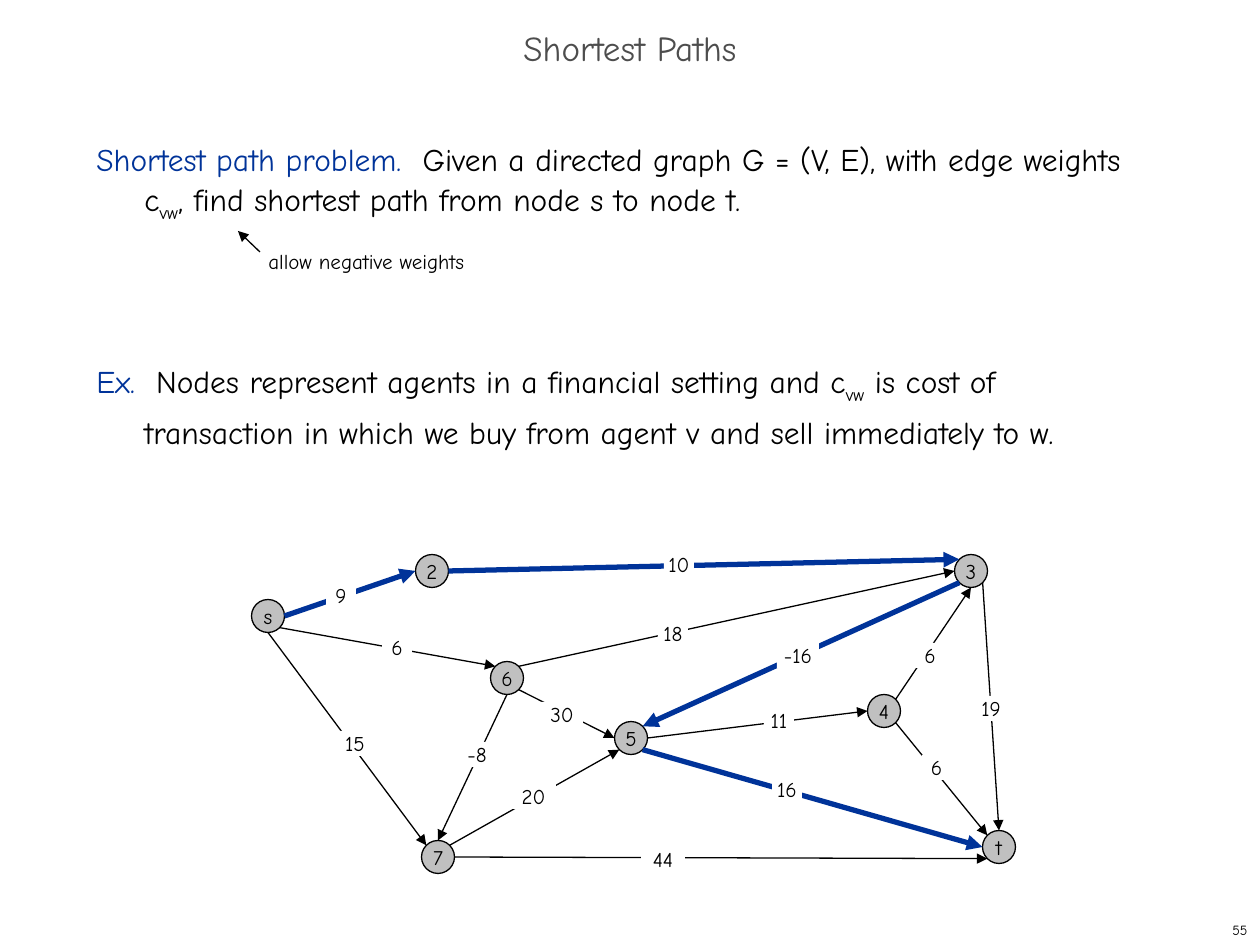
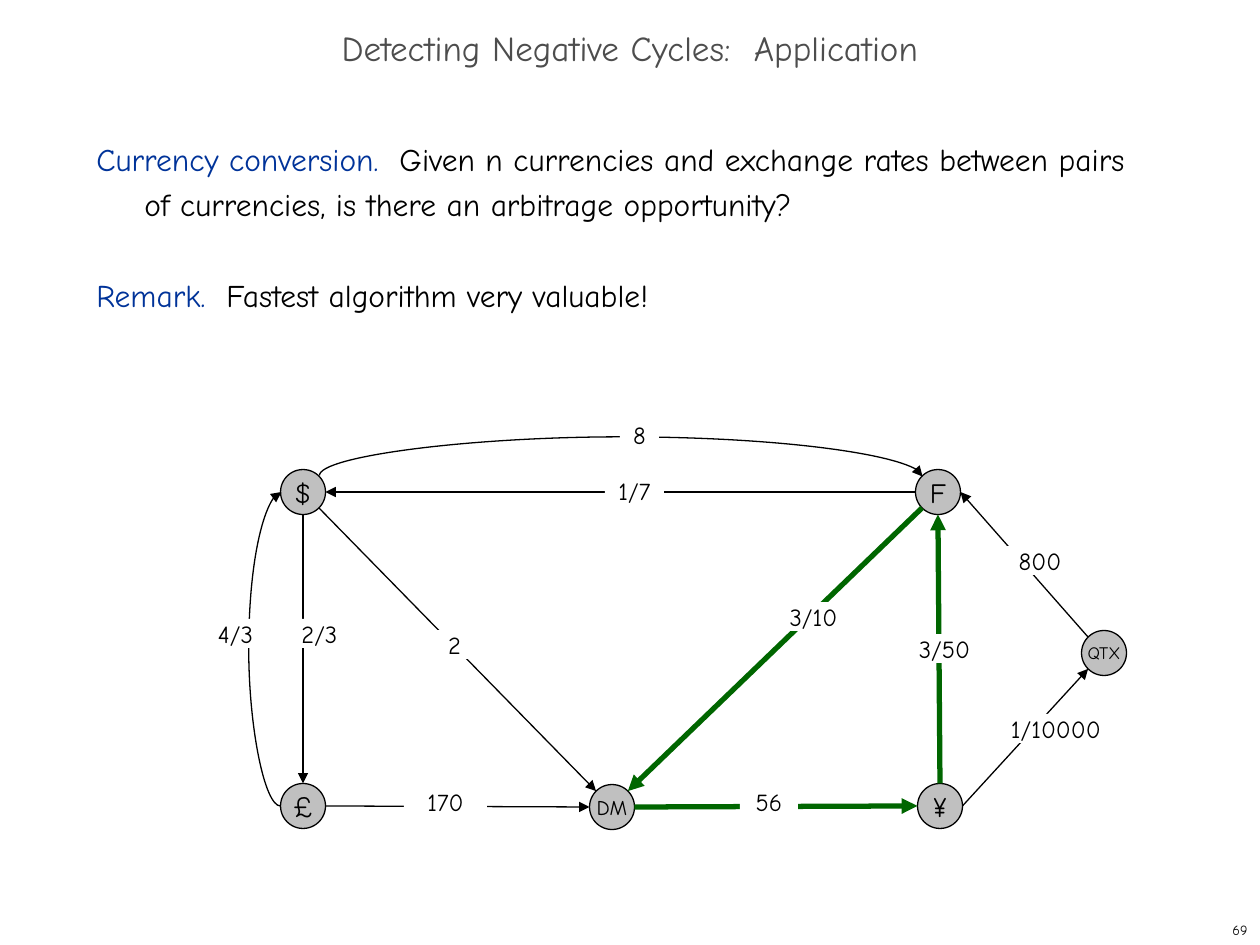
from math import cos, sin, radians, dist
from lxml.etree import SubElement as Sub
from pptx import Presentation
from pptx.dml.color import RGBColor as Rgb
from pptx.enum.shapes import MSO_CONNECTOR as Link, MSO_SHAPE as Kind
from pptx.enum.text import MSO_ANCHOR as Anchor, MSO_AUTO_SIZE as Fit, PP_ALIGN as Align
from pptx.oxml.ns import qn
from pptx.util import Emu, Pt


class Theme:
    font = "Comic Neue"
    ink, title, key = "000000", "4D4D4D", "003399"
    node, paper = "C0C0C0", "FFFFFF"
    head, body, note, page = 20, 18, 12, 8
    thin, thick = 0.75, 3
    lead = 26


PORTS = {"N": (0, 270), "NW": (1, 225), "W": (2, 180), "SW": (3, 135),
         "S": (4, 90), "SE": (5, 45), "E": (6, 0), "NE": (7, 315)}

PATHS = {
    "title": "Shortest Paths",
    "page": "55",
    "gap": 78,
    "body": [
        [("Shortest path problem. ", "key"),
         (" Given a directed graph G = (V, E), with edge weights c", "ink"), ("vw", "sub"),
         (", find shortest path from node s to node t.", "ink")],
        [("Ex.  ", "key"),
         ("Nodes represent agents in a financial setting and c", "ink"), ("vw", "sub"),
         (" is cost of transaction in which we buy from agent v and sell immediately to w.", "ink")],
    ],
    "size": 33,
    "nodes": [("s", 268, 616, 12), ("3", 971, 571, 12), ("t", 999, 847, 12), ("2", 432, 571, 12),
              ("6", 507, 678, 12), ("7", 438, 857, 12), ("4", 884, 711, 12), ("5", 631, 738, 12)],
    "bold": "003399",
    "edges": [("s", "SE", "6", "NW"), ("s", "S", "7", "NW"), ("6", "NE", "3", "W"),
              ("4", "NE", "3", "S"), ("6", "SE", "5", "W"), ("5", "E", "4", "W"),
              ("4", "SE", "t", "NW"), ("6", "S", "7", "N"), ("7", "NE", "5", "SW"),
              ("7", "E", "t", "SW"), ("3", "SE", "t", "N")],
    "route": [("s", "E", "2", "W"), ("2", "E", "3", "NW"),
              ("3", "SW", "5", "NE"), ("5", "SE", "t", "W")],
    "curves": [],
    "tag": (25, 12),
    "tags": [("10", 664, 552, 30), ("18", 658, 621, 30), ("-16", 777, 643, 42),
             ("9", 326, 583, 30), ("6", 382, 635, 30), ("15", 340, 731, 30),
             ("-8", 462, 742, 30), ("30", 541, 702, 42), ("20", 511, 784, 45),
             ("44", 641, 847, 44), ("16", 772, 777, 30), ("11", 764, 708, 30),
             ("6", 915, 643, 30), ("19", 976, 696, 30), ("6", 922, 755, 29)],
}

MONEY = {
    "title": "Detecting Negative Cycles:  Application",
    "page": "69",
    "gap": 26,
    "body": [
        [("Currency conversion.  ", "key"),
         ("Given n currencies and exchange rates between pairs of currencies, "
          "is there an arbitrage opportunity?", "ink")],
        [("Remark.  ", "key"), ("Fastest algorithm very valuable!", "ink")],
    ],
    "size": 45,
    "nodes": [("F", 938, 492, 16), ("$", 303, 492, 16), ("£", 303, 806, 16),
              ("¥", 940, 806, 16), ("DM", 612, 807, 12), ("QTX", 1104, 653, 10)],
    "bold": "006600",
    "edges": [("F", "W", "$", "E"), ("$", "SE", "DM", "NW"), ("$", "S", "£", "N"),
              ("£", "E", "DM", "W"), ("¥", "E", "QTX", "SW"), ("QTX", "NW", "F", "E")],
    "route": [("¥", "N", "F", "S"), ("DM", "E", "¥", "W"), ("F", "SW", "DM", "NE")],
    "curves": [("£", "W", "$", "W", 32, 180, "flipH"), ("$", "NE", "F", "NW", 39, 90, "flipV")],
    "tag": (29, 14),
    "tags": [("1/7", 605, 476, 59), ("3/10", 777, 602, 73), ("2/3", 283, 619, 73),
             ("2", 423, 630, 63), ("170", 404, 787, 83), ("56", 740, 787, 58),
             ("3/50", 906, 634, 77), ("4/3", 199, 619, 73), ("8", 620, 420, 39),
             ("1/10000", 998, 714, 116), ("800", 998, 546, 84)],
}


def px(n):
    return Emu(round(n * 914400 / 126))


def style(run, size, tint):
    run.font.name = Theme.font
    run.font.size = Pt(size)
    run.font.color.rgb = Rgb.from_string(tint)


def write(shape, text, size, align, tint=Theme.ink, anchor=Anchor.MIDDLE, wrap=True):
    frame = shape.text_frame
    frame.text = text
    frame.word_wrap = wrap
    frame.auto_size = Fit.NONE
    frame.vertical_anchor = anchor
    para = frame.paragraphs[0]
    para.alignment = align
    style(para.runs[0], size, tint)
    return frame


def place(shape, *box):
    shape.left, shape.top, shape.width, shape.height = map(px, box)


def box(slide, *area):
    return slide.shapes.add_textbox(*map(px, area))


def block(slide, kind, area, fill):
    shape = slide.shapes.add_shape(kind, *map(px, area))
    shape.shadow.inherit = False
    shape.fill.solid()
    shape.fill.fore_color.rgb = Rgb.from_string(fill)
    return shape


def frame_up(slide, data):
    title = slide.shapes.title
    place(title, 0, 21, 1260, 63)
    write(title, data["title"], Theme.head, Align.CENTER, Theme.title)
    title.text_frame.paragraphs[0].line_spacing = 0.7
    write(box(slide, 998, 914, 262, 32), data["page"], Theme.page, Align.RIGHT)


def prose(slide, data):
    frame = box(slide, 84, 126, 1081, 746).text_frame
    frame.word_wrap = True
    for i, parts in enumerate(data["body"]):
        para = frame.add_paragraph() if i else frame.paragraphs[0]
        para.line_spacing = Pt(Theme.lead)
        if i:
            para.space_before = Pt(data["gap"])
        props = para._p.get_or_add_pPr()
        props.set("marL", str(px(48)))
        props.set("indent", str(-px(48)))
        for text, role in parts:
            run = para.add_run()
            run.text = text
            style(run, Theme.body, Theme.key if role == "key" else Theme.ink)
            if role == "sub":
                run.font._element.set("baseline", "-25000")


def arrow(slide, kind, start, end, tint, width):
    link = slide.shapes.add_connector(kind, *map(px, (*start, *end)))
    link.line.color.rgb = Rgb.from_string(tint)
    link.line.width = Pt(width)
    props = link._element.spPr
    Sub(props.find(qn("a:ln")), qn("a:tailEnd"), type="triangle")
    Sub(props, qn("a:effectLst"))
    return link


def glue(link, *ends):
    spot = link._element.xpath(".//p:cNvCxnSpPr")[0]
    for tag, (node, port) in zip(("a:stCxn", "a:endCxn"), ends):
        Sub(spot, qn(tag), id=str(node.shape_id), idx=str(PORTS[port][0]))


def bow(link, start, end, bend, turn, flip):
    span = dist(start, end)
    x, y = ((a + b) / 2 for a, b in zip(start, end))
    place(link, x, y - span / 2, 1, span)
    props = link._element.spPr
    frame = props.find(qn("a:xfrm"))
    for name in ("flipH", "flipV"):
        frame.attrib.pop(name, None)
    frame.set("rot", str(turn * 60000))
    frame.set(flip, "1")
    geom = props.find(qn("a:prstGeom"))
    guides = geom.find(qn("a:avLst"))
    if guides is None:
        guides = Sub(geom, qn("a:avLst"))
    Sub(guides, qn("a:gd"), name="adj1", fmla=f"val {-bend * 100000}")


def graph(slide, data):
    size = data["size"]
    half = size / 2
    spots, nodes = {}, {}
    for name, x, y, type_size in data["nodes"]:
        node = block(slide, Kind.OVAL, (x - half, y - half, size, size), Theme.node)
        node.line.color.rgb = Rgb.from_string(Theme.ink)
        node.line.width = Pt(Theme.thin)
        write(node, name, type_size, Align.CENTER, wrap=False)
        spots[name], nodes[name] = (x, y), node

    def port(name, side):
        x, y = spots[name]
        turn = radians(PORTS[side][1])
        return x + half * cos(turn), y + half * sin(turn)

    def join(kind, edge, tint, width):
        a, out, b, into = edge
        start, end = port(a, out), port(b, into)
        link = arrow(slide, kind, start, end, tint, width)
        glue(link, (nodes[a], out), (nodes[b], into))
        return link, start, end

    for edge in data["edges"]:
        join(Link.STRAIGHT, edge, Theme.ink, Theme.thin)
    for edge in data["route"]:
        join(Link.STRAIGHT, edge, data["bold"], Theme.thick)
    for *edge, bend, turn, flip in data["curves"]:
        bow(*join(Link.CURVE, edge, Theme.ink, Theme.thin), bend, turn, flip)

    high, type_size = data["tag"]
    for text, x, y, wide in data["tags"]:
        tag = block(slide, Kind.RECTANGLE, (x, y, wide, high), Theme.paper)
        tag.line.fill.background()
        frame = write(tag, text, type_size, Align.CENTER, anchor=Anchor.TOP)
        frame.margin_left = frame.margin_right = frame.margin_top = frame.margin_bottom = 0


def main():
    deck = Presentation()
    deck.slide_width, deck.slide_height = px(1260), px(945)
    slides = []
    for data in (PATHS, MONEY):
        slide = deck.slides.add_slide(deck.slide_layouts[5])
        frame_up(slide, data)
        prose(slide, data)
        graph(slide, data)
        slides.append(slide)
    first = slides[0]
    arrow(first, Link.STRAIGHT, (260, 252), (238, 231), Theme.ink, Theme.thin)
    write(box(first, 256, 242, 243, 38), "allow negative weights", Theme.note, Align.LEFT)
    deck.save("out.pptx")


if __name__ == "__main__":
    main()
